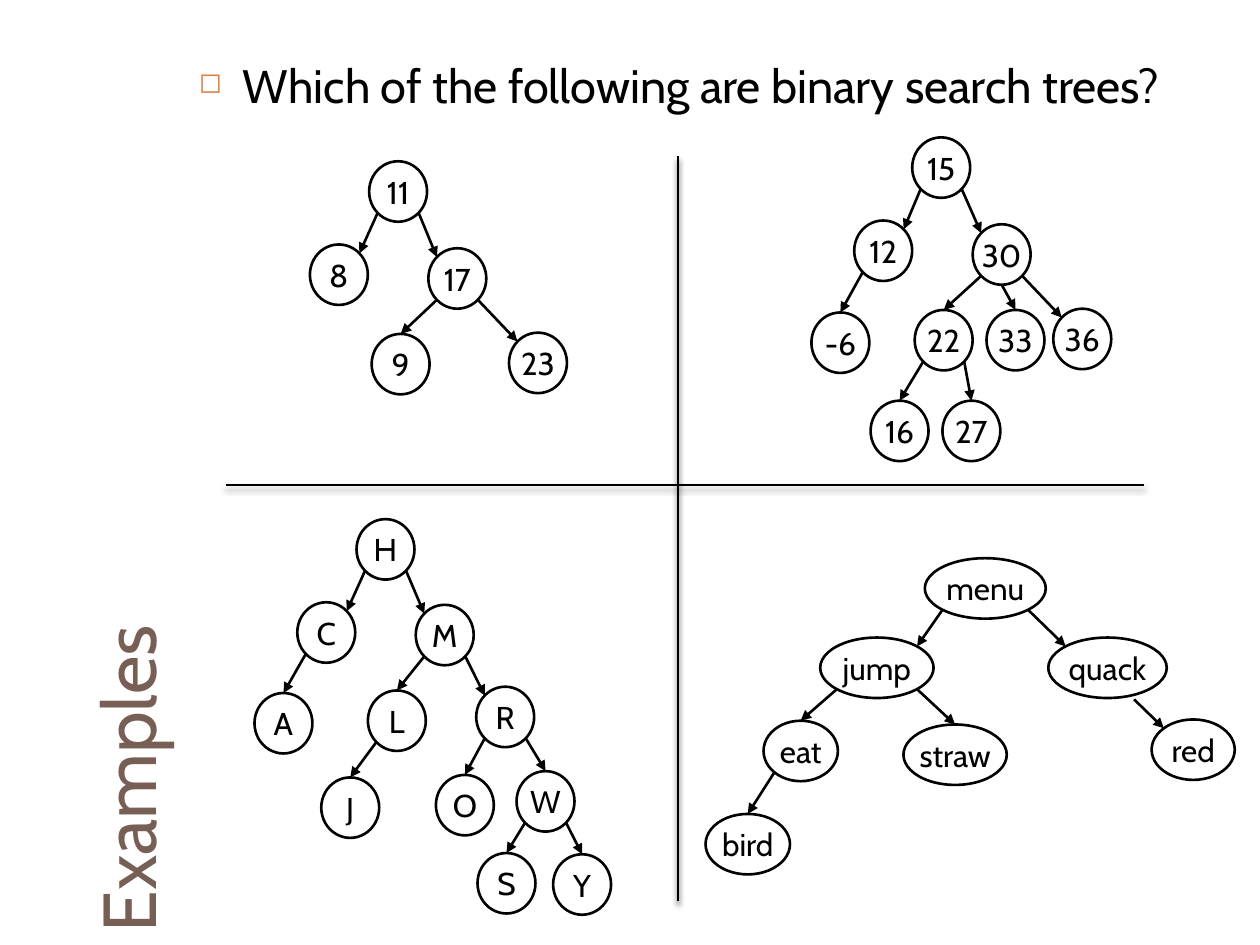
from dataclasses import dataclass
from math import sqrt
from typing import Optional

from lxml import etree
from pptx import Presentation
from pptx.dml.color import RGBColor
from pptx.enum.shapes import MSO_CONNECTOR, MSO_SHAPE
from pptx.enum.text import MSO_ANCHOR, MSO_AUTO_SIZE, PP_ALIGN
from pptx.oxml import parse_xml
from pptx.oxml.ns import nsdecls, qn
from pptx.util import Inches, Pt

LEFT, CENTER = PP_ALIGN.LEFT, PP_ALIGN.CENTER
TOP, MIDDLE, BOTTOM = MSO_ANCHOR.TOP, MSO_ANCHOR.MIDDLE, MSO_ANCHOR.BOTTOM
NO_FIT = MSO_AUTO_SIZE.NONE
OVAL, STRAIGHT = MSO_SHAPE.OVAL, MSO_CONNECTOR.STRAIGHT


@dataclass(frozen=True)
class Theme:
    font: str = "Cabin"
    ink: str = "000000"
    paper: str = "FFFFFF"
    brown: str = "775F55"
    orange: str = "DD8047"
    title: float = 42.9
    body: float = 26.8
    label: float = 18
    stroke: float = 1.5


@dataclass(frozen=True)
class Node:
    text: str
    left: float
    top: float
    width: float = 0.46
    height: float = 0.48

    def site(self, across: int, down: int) -> tuple[float, float]:
        reach = 1 / sqrt(2) if across and down else 1
        return (self.left + self.width / 2 * (1 + across * reach),
                self.top + self.height / 2 * (1 + down * reach))


@dataclass(frozen=True)
class Edge:
    above: str
    below: str
    corner: bool = False
    start: Optional[tuple[float, float]] = None


@dataclass(frozen=True)
class Tree:
    nodes: tuple[Node, ...]
    edges: tuple[Edge, ...]


THEME = Theme()
SMALL = Tree(
    (Node("11", 2.93, 1.28), Node("8", 2.46, 1.94), Node("17", 3.4, 1.97),
     Node("9", 2.95, 2.65), Node("23", 4.04, 2.64)),
    (Edge("11", "8", True), Edge("11", "17", True), Edge("17", "9"),
     Edge("17", "23", True)),
)
WIDE = Tree(
    (Node("15", 7.24, 1.09), Node("12", 6.78, 1.75), Node("30", 7.72, 1.78),
     Node("-6", 6.44, 2.48), Node("22", 7.26, 2.46), Node("33", 7.83, 2.46),
     Node("36", 8.36, 2.45), Node("16", 6.91, 3.18), Node("27", 7.48, 3.18)),
    (Edge("15", "12", True), Edge("15", "30", True), Edge("12", "-6"),
     Edge("30", "22"), Edge("30", "33", start=(7.95, 2.26)),
     Edge("30", "36", True), Edge("22", "16"), Edge("22", "27")),
)
LETTERS = Tree(
    (Node("H", 2.83, 4.12), Node("C", 2.36, 4.78), Node("M", 3.3, 4.8),
     Node("A", 2.02, 5.5), Node("L", 2.92, 5.48), Node("R", 3.78, 5.45),
     Node("J", 2.55, 6.17), Node("O", 3.46, 6.15), Node("W", 4.1, 6.12),
     Node("S", 3.79, 6.77), Node("Y", 4.39, 6.78)),
    (Edge("H", "C", True), Edge("H", "M", True), Edge("C", "A"),
     Edge("M", "L"), Edge("M", "R", True), Edge("L", "J"), Edge("R", "O"),
     Edge("R", "W"), Edge("W", "S"), Edge("W", "Y")),
)
WORDS = Tree(
    (Node("menu", 7.34, 4.43, 0.96), Node("jump", 6.51, 5.06, 0.9),
     Node("quack", 8.32, 5.06, 0.94), Node("eat", 6.06, 5.72, 0.59),
     Node("straw", 7.17, 5.75, 0.82), Node("red", 9.14, 5.71, 0.66),
     Node("bird", 5.6, 6.46, 0.67)),
    (Edge("menu", "jump", True), Edge("menu", "quack", True),
     Edge("jump", "eat"), Edge("jump", "straw"),
     Edge("quack", "red", True, (9, 5.55)), Edge("eat", "bird")),
)


def write(shape, text: str, *, size: float, color: str = THEME.ink,
          align=LEFT, anchor=TOP, side: float = 0.1, edge: float = 0.05,
          bullet: str = "") -> None:
    frame = shape.text_frame
    frame.auto_size = NO_FIT
    frame.word_wrap = True
    frame.vertical_anchor = anchor
    frame.margin_left = frame.margin_right = Inches(side)
    frame.margin_top = frame.margin_bottom = Inches(edge)
    para = frame.paragraphs[0]
    para.alignment = align
    if bullet:
        props = para._p.get_or_add_pPr()
        props.set("marL", str(Inches(0.35)))
        props.set("indent", str(Inches(-0.35)))
        tint = etree.SubElement(props, qn("a:buClr"))
        etree.SubElement(tint, qn("a:srgbClr"), val=THEME.orange)
        etree.SubElement(props, qn("a:buSzPct"), val="60000")
        etree.SubElement(props, qn("a:buChar"), char=bullet)
    run = para.add_run()
    run.text = text
    run.font.name = THEME.font
    run.font.size = Pt(size)
    run.font.color.rgb = RGBColor.from_string(color)


def ink_line(line) -> None:
    line.color.rgb = RGBColor.from_string(THEME.ink)
    line.width = Pt(THEME.stroke)


def draw_line(slide, start: tuple[float, float], end: tuple[float, float]):
    link = slide.shapes.add_connector(
        STRAIGHT, *(Inches(v) for v in (*start, *end)))
    ink_line(link.line)
    etree.SubElement(link.element.spPr, qn("a:effectLst"))
    return link


def draw_axis(slide, start: tuple[float, float],
              end: tuple[float, float]) -> None:
    link = draw_line(slide, start, end)
    shade = parse_xml(
        f'<a:outerShdw {nsdecls("a")} blurRad="{Pt(3)}" dist="{Pt(2.4)}" '
        f'dir="5400000" rotWithShape="0"><a:srgbClr val="{THEME.ink}">'
        '<a:alpha val="45000"/></a:srgbClr></a:outerShdw>')
    link.element.spPr.find(qn("a:effectLst")).append(shade)


def draw_node(slide, node: Node):
    oval = slide.shapes.add_shape(OVAL, *(
        Inches(v) for v in (node.left, node.top, node.width, node.height)))
    oval.shadow.inherit = False
    oval.fill.solid()
    oval.fill.fore_color.rgb = RGBColor.from_string(THEME.paper)
    ink_line(oval.line)
    write(oval, node.text, size=THEME.label, align=CENTER, anchor=MIDDLE,
          side=0)
    return oval


def draw_tree(slide, tree: Tree) -> None:
    nodes = {node.text: node for node in tree.nodes}
    ovals = {node.text: draw_node(slide, node) for node in tree.nodes}
    for edge in tree.edges:
        above, below = nodes[edge.above], nodes[edge.below]
        turn = 1 if below.site(0, 0)[0] > above.site(0, 0)[0] else -1
        start = edge.start or above.site(turn, 1)
        end = below.site(-turn if edge.corner else 0, -1)
        link = draw_line(slide, start, end)
        if not edge.corner:
            link.end_connect(ovals[edge.below], 0)
        etree.SubElement(link.element.spPr.find(qn("a:ln")),
                         qn("a:tailEnd"), type="triangle")


def main() -> None:
    deck = Presentation()
    deck.slide_width, deck.slide_height = Inches(10), Inches(7.5)
    slide = deck.slides.add_slide(deck.slide_layouts[5])
    title = slide.shapes.title
    title.left, title.top = Inches(-2.5), Inches(3.64)
    title.width, title.height = Inches(6.93), Inches(0.79)
    title.rotation = 270
    write(title, "Examples", size=THEME.title, color=THEME.brown,
          anchor=BOTTOM, edge=0)
    prompt = slide.shapes.add_textbox(
        Inches(1.48), Inches(0.4), Inches(7.88), Inches(0.52))
    write(prompt, "Which of the following are binary search trees?",
          size=THEME.body, bullet="◻")
    draw_axis(slide, (5.38, 1.24), (5.38, 7.15))
    draw_axis(slide, (9.08, 3.85), (1.79, 3.85))
    for tree in (WORDS, WIDE, SMALL, LETTERS):
        draw_tree(slide, tree)
    deck.save("out.pptx")


if __name__ == "__main__":
    main()
